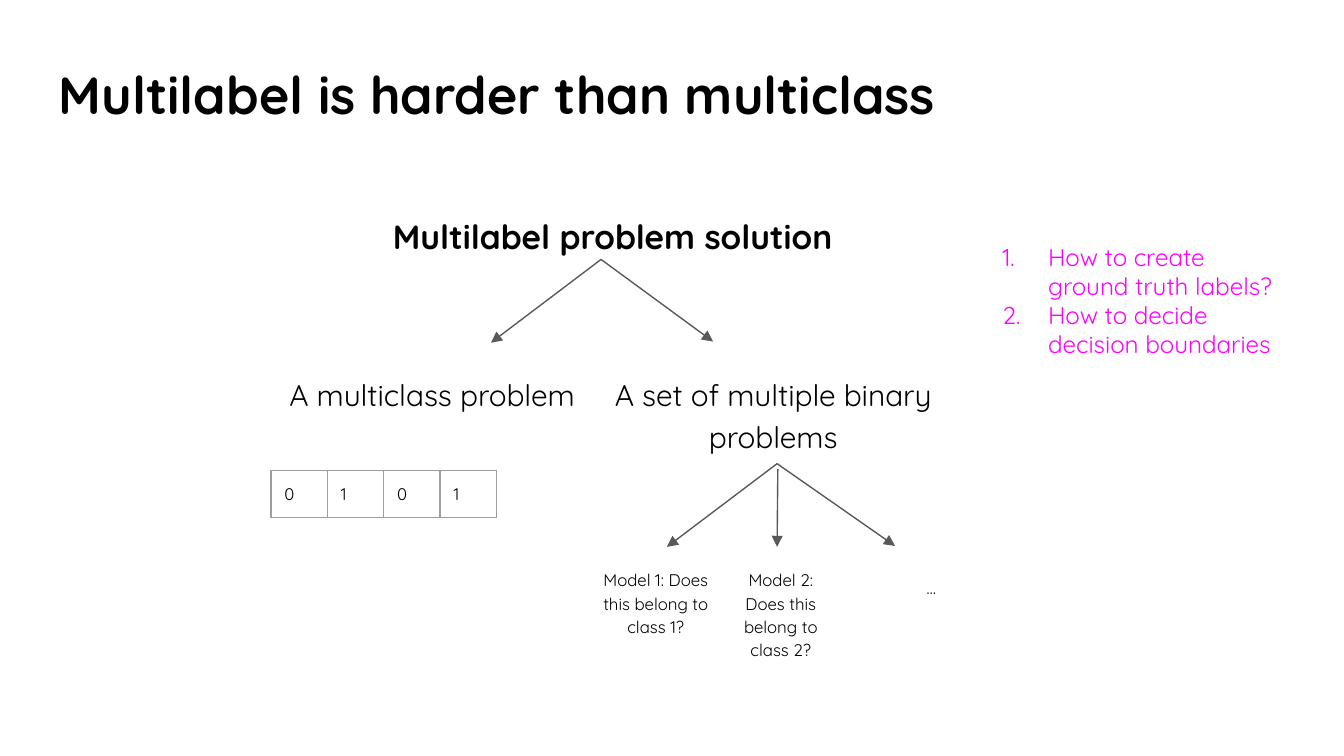
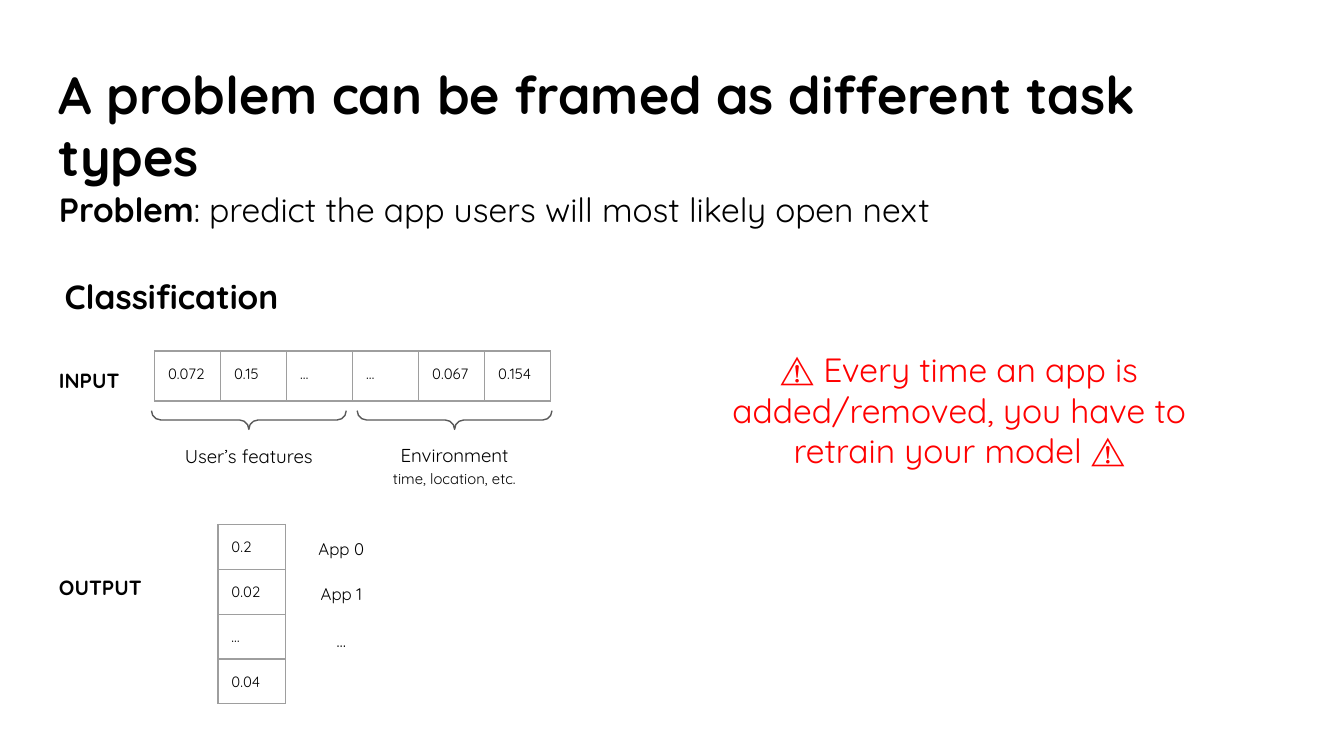
from lxml import etree
from pptx import Presentation
from pptx.dml.color import RGBColor
from pptx.enum.shapes import MSO_CONNECTOR, MSO_SHAPE
from pptx.enum.text import PP_ALIGN
from pptx.oxml import parse_xml
from pptx.oxml.ns import nsdecls, qn
from pptx.util import Pt

LEFT, CENTER = PP_ALIGN.LEFT, PP_ALIGN.CENTER
STRAIGHT = MSO_CONNECTOR.STRAIGHT
BRACE = MSO_SHAPE.RIGHT_BRACE
FONT = "Quicksand"
BLACK, GREY, BORDER = "000000", "595959", "9E9E9E"
MAGENTA, RED = "FF00FF", "FF0000"
rgb = RGBColor.from_string


def add_text(s, box, paras, size, color=BLACK, bold=False, align=LEFT, spacing=1.15, after=16):
    sp = s.shapes.add_textbox(*map(Pt, box))
    tf = sp.text_frame
    margins = ("margin_left", "margin_right", "margin_top", "margin_bottom")
    for name, value in {"word_wrap": True, **dict.fromkeys(margins, Pt(7.2))}.items():
        setattr(tf, name, value)
    for i, runs in enumerate(paras):
        p = tf.add_paragraph() if i else tf.paragraphs[0]
        p_format = {"alignment": align, "line_spacing": spacing, "space_after": Pt(after)}
        for name, value in p_format.items():
            setattr(p, name, value)
        for text, changes in [(runs, {})] if isinstance(runs, str) else runs:
            r = p.add_run()
            r.text = text
            r.font.color.rgb = rgb(color)
            for name, value in {"name": FONT, "size": Pt(size), "bold": bold, **changes}.items():
                setattr(r.font, name, value)
    return tf


def add_grid(s, x, y, col_w, row_h, rows, size):
    n_rows, n_cols = len(rows), len(rows[0])
    frame = s.shapes.add_table(n_rows, n_cols, Pt(x), Pt(y), Pt(col_w * n_cols), Pt(row_h * n_rows))
    table = frame.table
    table.first_row = table.horz_banding = False
    for col in table.columns:
        col.width = Pt(col_w)
    for row, values in zip(table.rows, rows):
        row.height = Pt(row_h)
        for cell, value in zip(row.cells, values):
            for side in ("left", "right", "top", "bottom"):
                setattr(cell, f"margin_{side}", Pt(7.2))
            r = cell.text_frame.paragraphs[0].add_run()
            r.text = value
            r.font.color.rgb = rgb(BLACK)
            for name, v in {"name": FONT, "size": Pt(size)}.items():
                setattr(r.font, name, v)
            tcPr = cell._tc.get_or_add_tcPr()
            for side in "LRTB":
                tcPr.append(parse_xml(
                    f'<a:ln{side} {nsdecls("a")} w="{Pt(0.75)}"><a:solidFill>'
                    f'<a:srgbClr val="{BORDER}"/></a:solidFill></a:ln{side}>'))
            cell.fill.background()


prs = Presentation()
prs.slide_width, prs.slide_height = Pt(720), Pt(405)

titles = ["Multilabel is harder than multiclass", "A problem can be framed as different task types"]
slides = []
for title in titles:
    s = prs.slides.add_slide(prs.slide_layouts[6])
    add_text(s, (24.5, 26, 671, 38), [title], 28, bold=True, spacing=1, after=0)
    slides.append(s)

s = slides[0]
add_text(s, (177, 105, 302.5, 33), ["Multilabel problem solution"], 18, bold=True, align=CENTER)
for box, text, size in [
    ((145.5, 191.5, 172, 34), "A multiclass problem", 16),
    ((310.3, 192, 208, 56), "A set of multiple binary problems", 16),
    ((316, 296.6, 70.5, 63), "Model 1: Does this belong to class 1?", 9),
    ((383, 296.6, 70.5, 63), "Model 2: Does this belong to class 2?", 9),
    ((463.7, 301.7, 70.5, 25), "…", 9),
]:
    add_text(s, box, [text], size, align=CENTER)

solution_arrows = [(322, 139, 263, 183.6), (322, 139, 382, 183)]
model_arrows = [(416.3, 248.4, 357.3, 293), (416.3, 248.4, 479.5, 292.5), (416.7, 251.3, 416.3, 293)]
for shapes, arrows in [(s.shapes, solution_arrows), (s.shapes.add_group_shape().shapes, model_arrows)]:
    for ends in arrows:
        c = shapes.add_connector(STRAIGHT, *map(Pt, ends))
        c.line.color.rgb = rgb(GREY)
        c.line.width = Pt(0.75)
        etree.SubElement(c.line._get_or_add_ln(), qn("a:tailEnd"), type="triangle")
        etree.SubElement(c._element.spPr, qn("a:effectLst"))

questions = ["How to create ground truth labels?", "How to decide decision boundaries"]
tf = add_text(s, (518.4, 122.4, 177, 78), questions, 13, MAGENTA, spacing=1, after=0)
for p in tf.paragraphs:
    pPr = p._p.get_or_add_pPr()
    pPr.set("marL", str(Pt(36)))
    pPr.set("indent", str(-Pt(24.5)))
    color = etree.SubElement(pPr, qn("a:buClr"))
    etree.SubElement(color, qn("a:srgbClr"), val=MAGENTA)
    etree.SubElement(pPr, qn("a:buFont"), typeface=FONT)
    etree.SubElement(pPr, qn("a:buAutoNum"), type="arabicPeriod")

add_grid(s, 145.2, 252, 30.2, 18, [["0", "1", "0", "1"]], 9)

s = slides[1]
problem = [("Problem", {"bold": True}), (": predict the app users will most likely open next", {})]
add_text(s, (24.5, 90.7, 671, 42), [problem], 18, after=0)
for box, text, size in [
    ((27.5, 137.5, 154, 36), "Classification", 18),
    ((24.5, 188, 48.5, 28), "INPUT", 11),
    ((24.5, 299, 62, 28), "OUTPUT", 11),
]:
    add_text(s, box, [text], size, bold=True)

add_grid(s, 82.8, 188, 35.4, 26.8, [["0.072", "0.15", "…", "…", "0.067", "0.154"]], 8)
add_grid(s, 116.8, 281, 36, 19.6, [["0.2"], ["0.02"], ["…"], ["0.04"]], 8)

for x in (128.3, 238.5):
    sp = s.shapes.add_shape(BRACE, Pt(x), Pt(172.8), Pt(10), Pt(104.4))
    sp.rotation = 90
    sp.shadow.inherit = False
    sp.adjustments[0] = sp.adjustments[1] = 0.5
    sp.fill.background()
    sp.line.color.rgb = rgb(GREY)
    sp.line.width = Pt(0.75)

add_text(s, (89.3, 229.7, 88, 27), ["User’s features"], 10, align=CENTER)
environment = ["Environment", [("time, location, etc.", {"size": Pt(8)})]]
add_text(s, (199.5, 229, 88, 38), environment, 10, align=CENTER, after=0)
for y, app in [(280.8, "App 0"), (304.8, "App 1"), (330, "…")]:
    add_text(s, (158.6, y, 48.5, 25), [app], 9, align=CENTER)

warning = [
    ("⚠ ", {"bold": True}),
    ("Every time an app is added/removed, you have to retrain your model ", {}),
    ("⚠", {"bold": True}),
]
add_text(s, (381, 180, 265.7, 80), [warning], 18, RED, align=CENTER, spacing=1, after=0)

prs.save("out.pptx")
